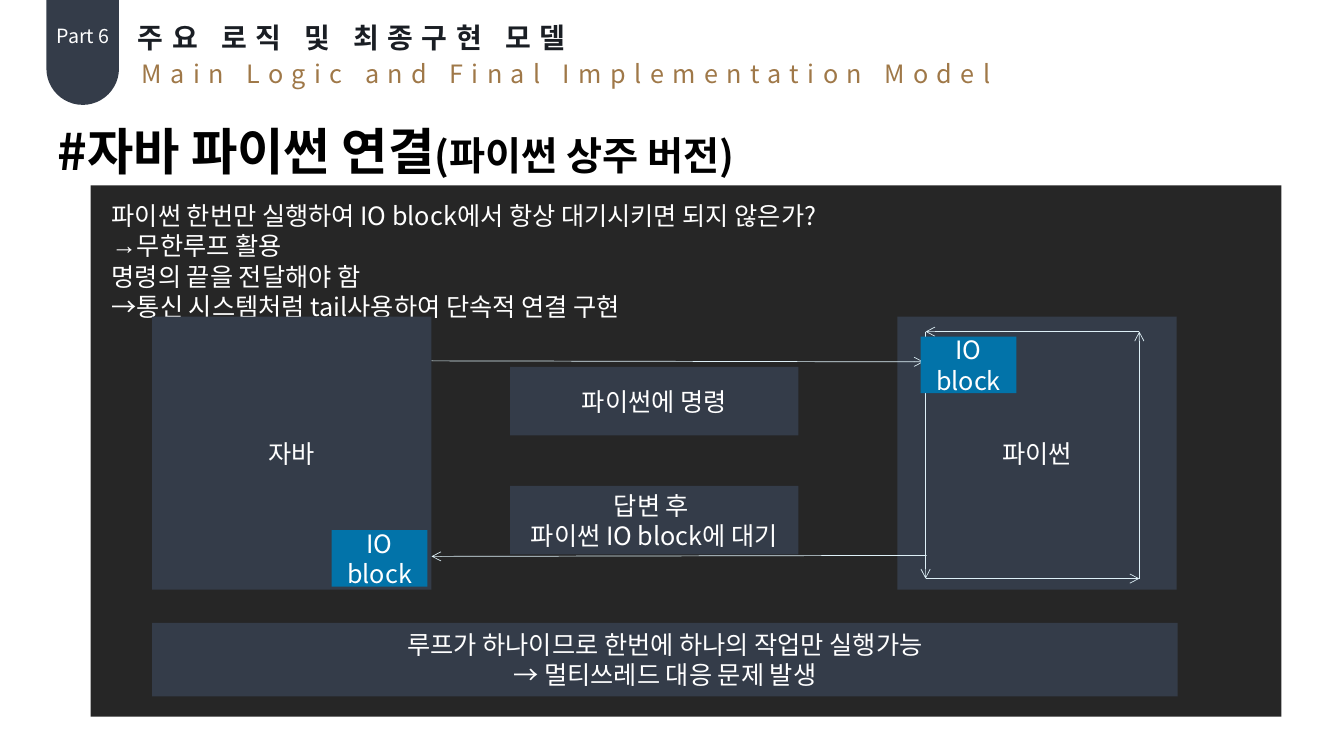
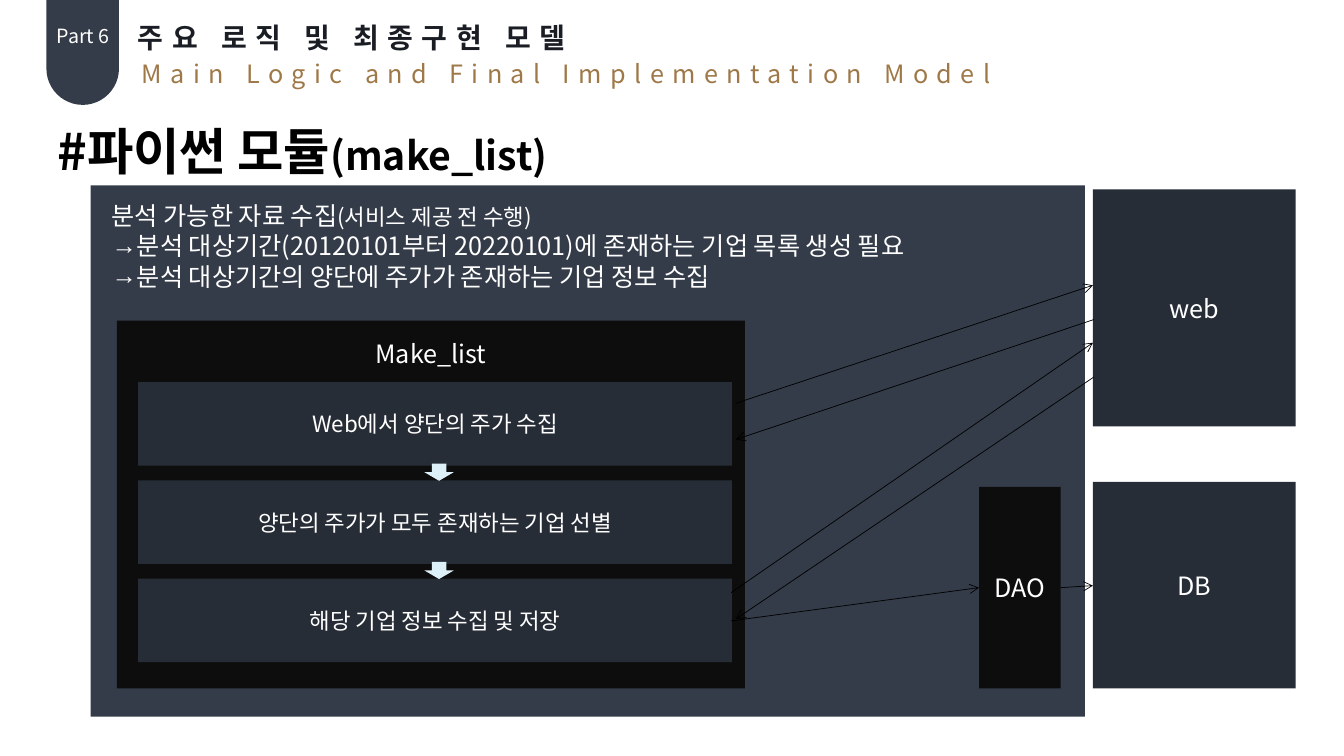
from dataclasses import dataclass

from lxml import etree
from pptx import Presentation
from pptx.dml.color import RGBColor
from pptx.enum.shapes import MSO_CONNECTOR as Connector
from pptx.enum.shapes import MSO_SHAPE as Shape
from pptx.enum.text import MSO_ANCHOR as Anchor
from pptx.enum.text import PP_ALIGN as Align
from pptx.oxml.ns import qn
from pptx.util import Inches, Pt

FONT = "Noto Sans CJK KR"
COLORS = {
    "slate": "343C49",
    "navy": "272D37",
    "charcoal": "262626",
    "ink": "0D0D0D",
    "black": "000000",
    "white": "FFFFFF",
    "ice": "DEF0F7",
    "blue": "0273A9",
    "heading": "1A1E24",
    "gold": "9F7848",
}
BULLET = "→"


@dataclass
class Box:
    left: float
    top: float
    width: float
    height: float

    def inner(self, left, top, width, height):
        """Return a box whose corner is measured from this one's corner."""
        return Box(self.left + left, self.top + top, width, height)

    def point(self, across, down):
        return self.left + across, self.top + down

    def lengths(self):
        return [Inches(n) for n in (self.left, self.top, self.width, self.height)]


def rgb(name):
    return RGBColor.from_string(COLORS[name])


def add_run(para, text, size, color="white", bold=False, spacing=0):
    span = para.add_run()
    span.text = text
    span.font.name = FONT
    span.font.size = Pt(size)
    span.font.bold = bold
    span.font.color.rgb = rgb(color)
    properties = span.font._element
    if spacing:
        properties.set("spc", str(spacing * 100))
    etree.SubElement(properties, qn("a:ea")).set("typeface", FONT)


def add_bullet(para):
    properties = para._p.get_or_add_pPr()
    indent = Inches(0.25)
    properties.set("marL", str(indent))
    properties.set("indent", str(-indent))
    etree.SubElement(properties, qn("a:buFont")).set("typeface", "Arial")
    etree.SubElement(properties, qn("a:buChar")).set("char", BULLET)


def add_text(page, box, runs, align=Align.LEFT):
    """Add one unwrapped line; each run is a tuple of add_run arguments."""
    frame = page.shapes.add_textbox(*box.lengths()).text_frame
    frame.word_wrap = False
    para = frame.paragraphs[0]
    para.alignment = align
    for run in runs:
        add_run(para, *run)


def add_block(page, box, color, lines=(), size=18, preset=Shape.RECTANGLE):
    block = page.shapes.add_shape(preset, *box.lengths())
    block.shadow.inherit = False
    block.fill.solid()
    block.fill.fore_color.rgb = rgb(color)
    block.line.fill.background()
    frame = block.text_frame
    frame.word_wrap = True
    frame.vertical_anchor = Anchor.MIDDLE
    for number, line in enumerate(lines):
        para = frame.add_paragraph() if number else frame.paragraphs[0]
        para.alignment = Align.CENTER
        add_run(para, line, size)
    return block


def add_arrow(page, start, end, color):
    ends = [Inches(n) for n in (*start, *end)]
    arrow = page.shapes.add_connector(Connector.STRAIGHT, *ends)
    arrow.line.color.rgb = rgb(color)
    arrow.line.width = Pt(0.5)
    etree.SubElement(arrow.line._get_or_add_ln(), qn("a:tailEnd")).set("type", "arrow")
    etree.SubElement(arrow._element.spPr, qn("a:effectLst"))


def add_header(page, box):
    tab = add_block(page, box.inner(0, 0, 0.72, 1.04), "slate",
                    preset=Shape.ROUND_2_SAME_RECTANGLE)
    tab.adjustments[0] = 0.5
    tab.rotation = 180
    add_text(page, box.inner(0.81, 0.15, 4.94, 0.44),
             [("주요 로직 및 최종구현 모델", 20, "heading", True, 6)])
    add_text(page, box.inner(0, 0.19, 0.73, 0.34), [("Part 6", 14)], Align.CENTER)
    add_text(page, box.inner(0.85, 0.53, 8.77, 0.4),
             [("Main Logic and Final Implementation Model", 18, "gold", False, 6)])


def add_title(page, box, main, detail):
    add_text(page, box, [(main, 36, "black", True), (detail, 28, "black", True)])


def add_notes(page, box, lines):
    """Add wrapped lines; each is (has bullet, list of (text, size))."""
    frame = page.shapes.add_textbox(*box.lengths()).text_frame
    frame.word_wrap = True
    for number, (bulleted, runs) in enumerate(lines):
        para = frame.add_paragraph() if number else frame.paragraphs[0]
        if bulleted:
            add_bullet(para)
        for text, size in runs:
            add_run(para, text, size)


def start_page(deck, title, title_width, panel, color, notes):
    """Add a page with the shared header, title, panel and opening notes."""
    page = deck.slides.add_slide(deck.slide_layouts[6])
    add_header(page, Box(0.46, 0, 9.62, 1.04))
    add_title(page, Box(0.47, 1.14, title_width, 0.71), *title)
    add_block(page, panel, color)
    add_notes(page, panel.inner(0.11, 0.1, 11.57, 0.3 * len(notes) + 0.11), notes)
    return page


def add_loop(page, box):
    """Draw four arrows running round the box, down its left side first."""
    corners = [
        box.point(0, 0),
        box.point(0, box.height),
        box.point(box.width, box.height),
        box.point(box.width, 0),
    ]
    for start, end in zip(corners, corners[1:] + corners[:1]):
        add_arrow(page, start, end, "ice")


def add_exchange(page, box):
    """Draw the two programs, the messages between them and the remark below."""
    java = box.inner(0, 0, 2.77, 2.71)
    python = box.inner(7.39, 0, 2.77, 2.71)
    for program, name in ((java, "자바"), (python, "파이썬")):
        add_block(page, program, "slate", [name])
    messages = (
        (0.5, ["파이썬에 명령"]),
        (1.68, ["답변 후 ", "파이썬 IO block에 대기"]),
    )
    for top, lines in messages:
        add_block(page, box.inner(3.55, top, 2.86, 0.68), "slate", lines)
    add_arrow(page, java.point(2.77, 0.44), python.point(0.26, 0.45), "ice")
    add_arrow(page, python.point(0.29, 2.37), java.point(2.77, 2.38), "ice")
    add_loop(page, python.inner(0.28, 0.15, 2.12, 2.45))
    for waiting in (python.inner(0.23, 0.2, 0.95, 0.56),
                    java.inner(1.78, 2.12, 0.95, 0.56)):
        add_block(page, waiting, "blue", ["IO", "block"])
    add_block(page, box.inner(0, 3.04, 10.17, 0.73), "slate",
              ["루프가 하나이므로 한번에 하나의 작업만 실행가능",
               "→ 멀티쓰레드 대응 문제 발생"])


def add_pipeline(page, box, steps):
    module = add_block(page, box, "ink", ["Make_list"])
    module.text_frame.vertical_anchor = Anchor.TOP
    module.text_frame.margin_top = Inches(0.18)
    height = 0.83
    pitch = (2.78 - height) / (len(steps) - 1)
    for number, step in enumerate(steps):
        row = box.inner(0.21, 0.61 + number * pitch, 5.89, height)
        add_block(page, row, "navy", [step], 16)
    for number in range(len(steps) - 1):
        link = box.inner(3.05, 1.42 + number * pitch, 0.29, 0.17)
        add_block(page, link, "ice", preset=Shape.DOWN_ARROW)


def add_stores(page, web, database, access):
    for store, color, name in ((web, "navy", "web"), (database, "navy", "DB"),
                               (access, "ink", "DAO")):
        add_block(page, store, color, [name])


def add_resident_page(deck):
    panel = Box(0.9, 1.84, 11.81, 5.27)
    notes = [
        (False, [("파이썬 한번만 실행하여 IO block에서 항상 대기시키면 되지 않은가?", 18)]),
        (True, [("무한루프 활용", 18)]),
        (False, [("명령의 끝을 전달해야 함", 18)]),
        (False, [("→통신 시스템처럼 tail사용하여 단속적 연결 구현", 18)]),
    ]
    title = ("#자바 파이썬 연결", "(파이썬 상주 버전)")
    page = start_page(deck, title, 7.7, panel, "charcoal", notes)
    add_exchange(page, panel.inner(0.61, 1.3, 10.17, 3.77))


def add_module_page(deck):
    panel = Box(0.9, 1.84, 9.86, 5.27)
    notes = [
        (False, [("분석 가능한 자료 수집", 18), ("(서비스 제공 전 수행)", 16)]),
        (True, [("분석 대상기간(20120101부터 20220101)에 존재하는 기업 목록 생성 필요", 18)]),
        (True, [("분석 대상기간의 양단에 주가가 존재하는 기업 정보 수집", 18)]),
    ]
    title = ("#파이썬 모듈", "(make_list)")
    page = start_page(deck, title, 5.34, panel, "slate", notes)
    module = panel.inner(0.26, 1.34, 6.23, 3.65)
    web = panel.inner(9.94, 0.04, 2.01, 2.35)
    database = panel.inner(9.94, 2.94, 2.01, 2.05)
    access = panel.inner(8.81, 2.99, 0.81, 2)
    add_pipeline(page, module, ["Web에서 양단의 주가 수집",
                                "양단의 주가가 모두 존재하는 기업 선별",
                                "해당 기업 정보 수집 및 저장"])
    add_stores(page, web, database, access)
    arrows = (
        (module.point(6.14, 0.82), web.point(0, 0.95)),
        (web.point(0.01, 1.29), module.point(6.14, 1.18)),
        (module.point(6.09, 2.7), web.point(0, 1.52)),
        (web.point(0.01, 1.86), module.point(6.14, 2.96)),
        (module.point(6.09, 2.98), access.point(0, 1)),
        (access.point(0.81, 1), database.point(0, 1.03)),
    )
    for start, end in arrows:
        add_arrow(page, start, end, "black")


def main():
    deck = Presentation()
    deck.slide_width, deck.slide_height = Inches(13.33), Inches(7.5)
    add_resident_page(deck)
    add_module_page(deck)
    deck.save("out.pptx")


if __name__ == "__main__":
    main()
